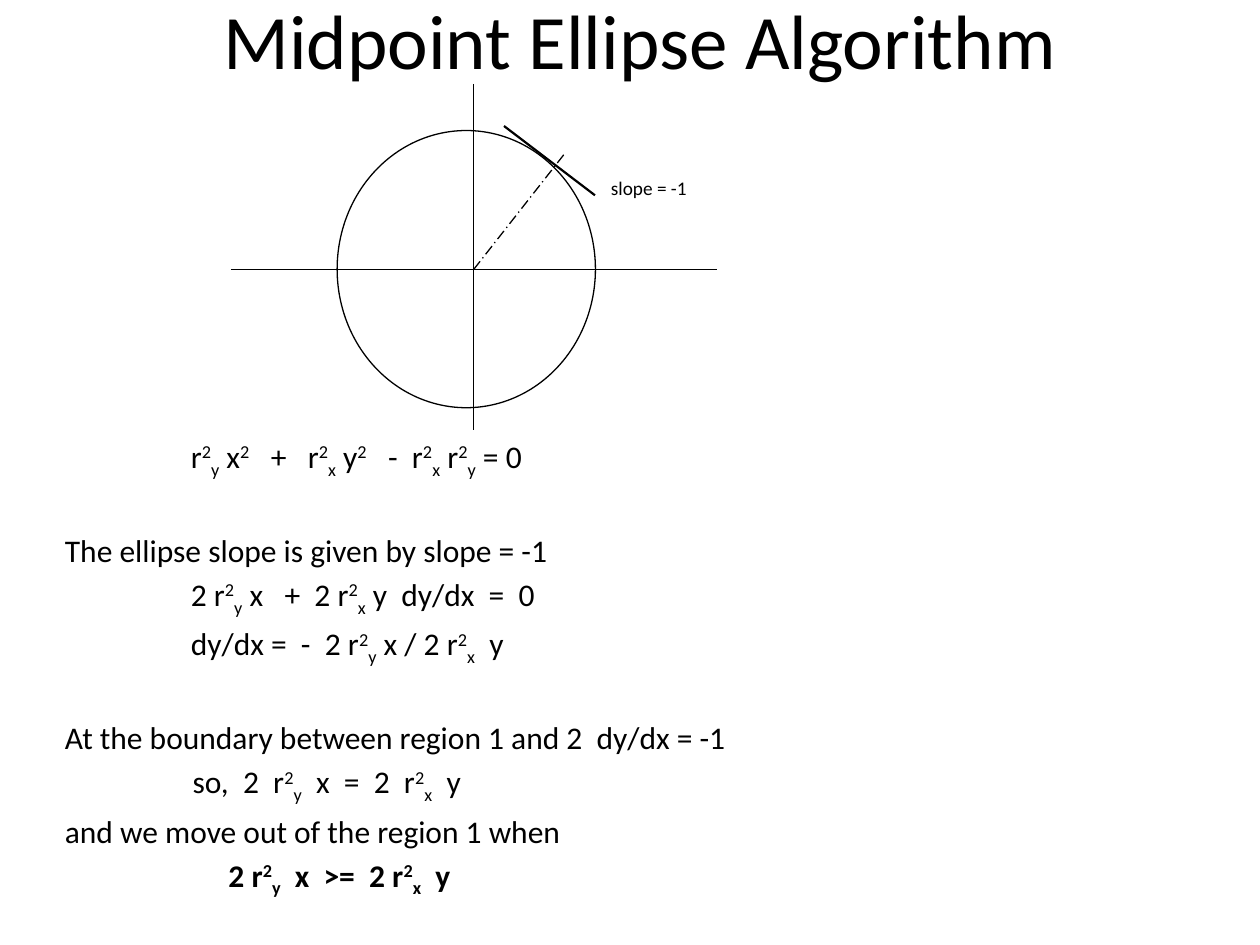
from pptx import Presentation
from pptx.dml.color import RGBColor
from pptx.enum.dml import MSO_LINE as Dash
from pptx.enum.shapes import MSO_CONNECTOR as Connector, MSO_SHAPE as Shape
from pptx.enum.text import MSO_ANCHOR as Anchor, PP_ALIGN as Align
from pptx.oxml.ns import qn
from pptx.util import Pt
from lxml import etree

BASELINES = {"^": "30000", "_": "-25000"}


def color(value):
    return RGBColor.from_string(value)


def split_scripts(text):
    """Yield (text, baseline); ^ raises and _ lowers the next character."""
    plain, chars = "", iter(text)
    for char in chars:
        if char in BASELINES:
            if plain:
                yield plain, None
            plain = ""
            yield next(chars), BASELINES[char]
        else:
            plain += char
    if plain:
        yield plain, None


class SlideStyle:
    font = "Calibri"
    ink = "000000"
    paper = "FFFFFF"

    def __init__(self, page):
        self.page = page

    def add_text(self, para, text, size, bold=False, **formats):
        for name, value in formats.items():
            setattr(para, name, value)
        for piece, baseline in split_scripts(text):
            span = para.add_run()
            span.text = piece
            styles = {"name": self.font, "size": Pt(size), "bold": bold}
            for name, value in styles.items():
                setattr(span.font, name, value)
            span.font.color.rgb = color(self.ink)
            if baseline:
                span._r.get_or_add_rPr().set("baseline", baseline)

    def text_box(self, left, top, width, height, anchor=Anchor.TOP):
        box = self.page.shapes.add_textbox(Pt(left), Pt(top), Pt(width), Pt(height))
        box.text_frame.word_wrap = True
        box.text_frame.vertical_anchor = anchor
        return box

    def ellipse(self, left, top, width, height, rotation=0):
        shape = self.page.shapes.add_shape(
            Shape.OVAL, Pt(left), Pt(top), Pt(width), Pt(height))
        shape.rotation = rotation
        shape.shadow.inherit = False
        shape.fill.solid()
        shape.fill.fore_color.rgb = color(self.paper)
        shape.line.color.rgb = color(self.ink)
        shape.line.width = Pt(0.75)

    def line(self, start, end, width=0.75, dash=None):
        line = self.page.shapes.add_connector(
            Connector.STRAIGHT, *(Pt(value) for value in (*start, *end)))
        line.line.color.rgb = color(self.ink)
        line.line.width = Pt(width)
        if dash:
            line.line.dash_style = dash
        etree.SubElement(line._element.spPr, qn("a:effectLst"))


def main():
    deck = Presentation()
    deck.slide_width, deck.slide_height = Pt(720), Pt(540)
    style = SlideStyle(deck.slides.add_slide(deck.slide_layouts[6]))

    # Title
    title = style.text_box(59.8, -36, 612, 116, Anchor.MIDDLE)
    style.add_text(title.text_frame.paragraphs[0], "Midpoint Ellipse Algorithm", 44,
                   alignment=Align.CENTER)

    # Derivation: text, left indent, starts a new block, bold
    indent = 72
    rows = [
        ("r^2_y x^2   +   r^2_x y^2   -  r^2_x r^2_y = 0", indent, False, False),
        ("The ellipse slope is given by slope = -1", 0, True, False),
        ("2 r^2_y x   +  2 r^2_x y  dy/dx  =  0", indent, False, False),
        ("dy/dx =  -  2 r^2_y x / 2 r^2_x  y", indent, False, False),
        ("At the boundary between region 1 and 2  dy/dx = -1", 0, True, False),
        ("so,  2  r^2_y  x  =  2  r^2_x  y", indent + 1, False, False),
        ("and we move out of the region 1 when", 0, False, False),
        ("2 r^2_y  x  >=  2 r^2_x  y", 93.5, False, True),
    ]
    gap, block_gap = 3.6, 29.2
    frame = style.text_box(30, 246, 564, 281.5).text_frame
    for index, (text, left, new_block, bold) in enumerate(rows):
        para = frame.add_paragraph() if index else frame.paragraphs[0]
        before = block_gap if new_block else gap if index else 0
        style.add_text(para, text, 18, bold, alignment=Align.JUSTIFY,
                       space_before=Pt(before))
        para._p.get_or_add_pPr().set("marL", str(Pt(left)))

    # Ellipse with its tangent, axes and radius
    center_x, center_y = 270.7, 154
    style.ellipse(187.2, 80, 158.4, 147.6, rotation=90)
    style.line((288, 72), (340, 111.6), width=1.25)
    style.line((132, center_y), (409.7, center_y))
    style.line((center_x, 48), (center_x, 246))
    style.line((center_x, center_y), (322.5, 88), dash=Dash.LONG_DASH_DOT)

    # Tangent label
    label = style.text_box(342, 97.2, 151.2, 46.8)
    label.fill.solid()
    label.fill.fore_color.rgb = color(style.paper)
    style.add_text(label.text_frame.paragraphs[0], "slope = -1", 11)

    deck.save("out.pptx")


if __name__ == "__main__":
    main()
